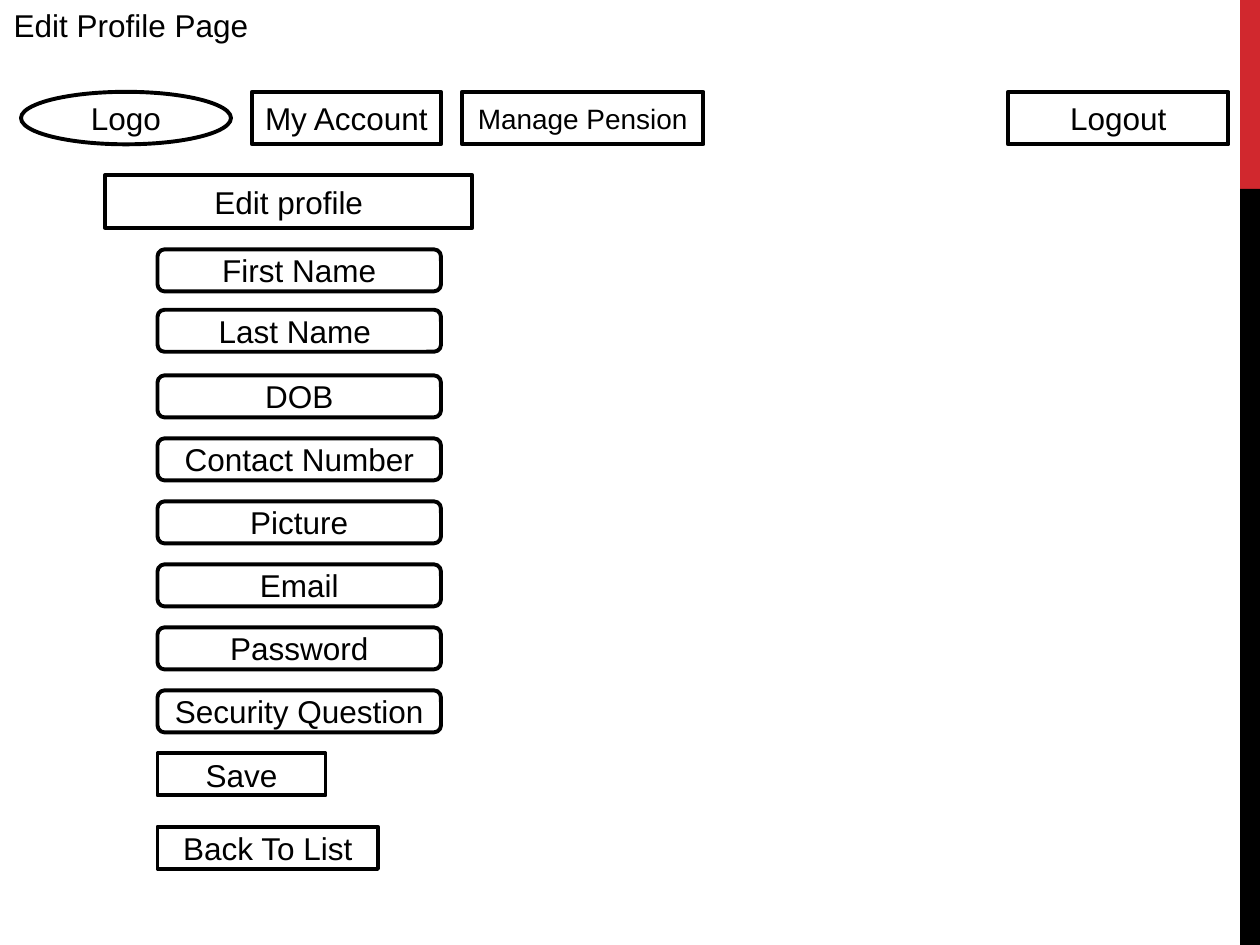
from pptx import Presentation
from pptx import util as u
from pptx.dml.color import RGBColor
from pptx.enum import shapes, text

COLORS = {"ink": "000000", "paper": "FFFFFF", "accent": "D1282E"}
COLUMNS, ROWS = 120, 90
WIDTH, HEIGHT = u.Inches(10), u.Inches(7.5)
KIND = shapes.MSO_SHAPE
FIELDS = ["First Name", "Last Name ", "DOB", "Contact Number", "Picture",
          "Email", "Password", "Security Question"]


def color(name):
    """Return the named colour."""
    return RGBColor.from_string(COLORS[name])


def grid(col, row, cols, rows):
    """Turn grid columns and rows into slide lengths."""
    cell_w, cell_h = WIDTH / COLUMNS, HEIGHT / ROWS
    return [round(n) for n in (col * cell_w, row * cell_h, cols * cell_w, rows * cell_h)]


def write(tf, words, size=18, align=text.PP_ALIGN.CENTER,
          anchor=text.MSO_ANCHOR.MIDDLE, wrap=True):
    """Put one formatted paragraph in a text frame."""
    tf.word_wrap = wrap
    tf.vertical_anchor = anchor
    p = tf.paragraphs[0]
    p.alignment = align
    r = p.add_run()
    r.text = words
    r.font.name = "Arial"
    r.font.size = u.Pt(size)
    r.font.color.rgb = color("ink")


def add_block(s, kind, box, fill):
    """Add a filled shape without line or shadow."""
    sp = s.shapes.add_shape(kind, *grid(*box))
    sp.shadow.inherit = False
    sp.fill.solid()
    sp.fill.fore_color.rgb = color(fill)
    sp.line.fill.background()
    return sp


def add_control(s, words, box, kind=KIND.RECTANGLE, size=18):
    """Add an outlined wireframe control with its label."""
    sp = add_block(s, kind, box, "paper")
    sp.line.color.rgb = color("ink")
    sp.line.width = u.Pt(2.25)
    write(sp.text_frame, words, size=size)


def add_title(s, words):
    """Add the page title at the top left."""
    tf = s.shapes.add_textbox(*grid(0.12, 0, 25, 4.8)).text_frame
    write(tf, words, align=text.PP_ALIGN.LEFT, anchor=text.MSO_ANCHOR.TOP, wrap=False)
    tf.auto_size = text.MSO_AUTO_SIZE.SHAPE_TO_FIT_TEXT


def add_side_bar(s):
    """Add the two-colour bar along the right edge."""
    left, split = 118.1, ROWS / 5
    add_block(s, KIND.RECTANGLE, (left, 0, COLUMNS - left, split), "accent")
    add_block(s, KIND.RECTANGLE, (left, split, COLUMNS - left, ROWS - split), "ink")


def add_navigation(s):
    """Add the row of controls at the top of the page."""
    top, height = 8.75, 5
    for words, col, cols, kind, size in [
        ("Logo", 2, 20, KIND.OVAL, 18),
        ("My Account", 24, 18, KIND.RECTANGLE, 18),
        ("Logout", 96, 21, KIND.RECTANGLE, 18),
        ("Manage Pension", 44, 23, KIND.RECTANGLE, 16),
    ]:
        add_control(s, words, (col, top, cols, height), kind, size)


def add_form(s):
    """Add the form heading, its fields and its buttons."""
    left, top, pitch, height = 15, 23.75, 6, 4
    add_control(s, "Edit profile", (10, 16.7, 35, 5))
    nudges = {"Last Name ": -0.25}
    for i, words in enumerate(FIELDS):
        row = top + i * pitch + nudges.get(words, 0)
        add_control(s, words, (left, row, 27, height), KIND.ROUNDED_RECTANGLE)
    add_control(s, "Save", (left, top + len(FIELDS) * pitch, 16, height))
    add_control(s, "Back To List", (left, 78.75, 21, height))


def main():
    """Build and save the slide."""
    prs = Presentation()
    prs.slide_width, prs.slide_height = WIDTH, HEIGHT
    s = prs.slides.add_slide(prs.slide_layouts[6])
    s.background.fill.solid()
    s.background.fill.fore_color.rgb = color("paper")
    add_side_bar(s)
    add_navigation(s)
    add_form(s)
    add_title(s, "Edit Profile Page")
    prs.save("out.pptx")


if __name__ == "__main__":
    main()
